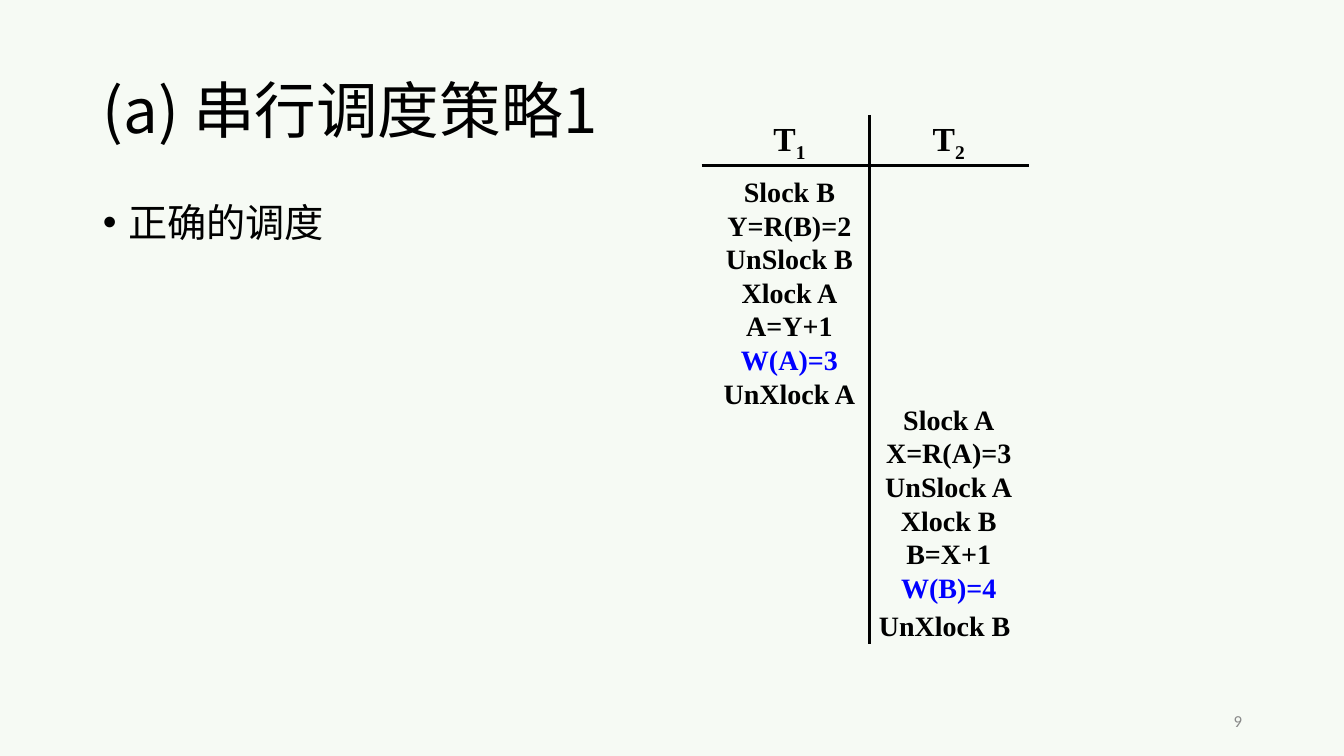
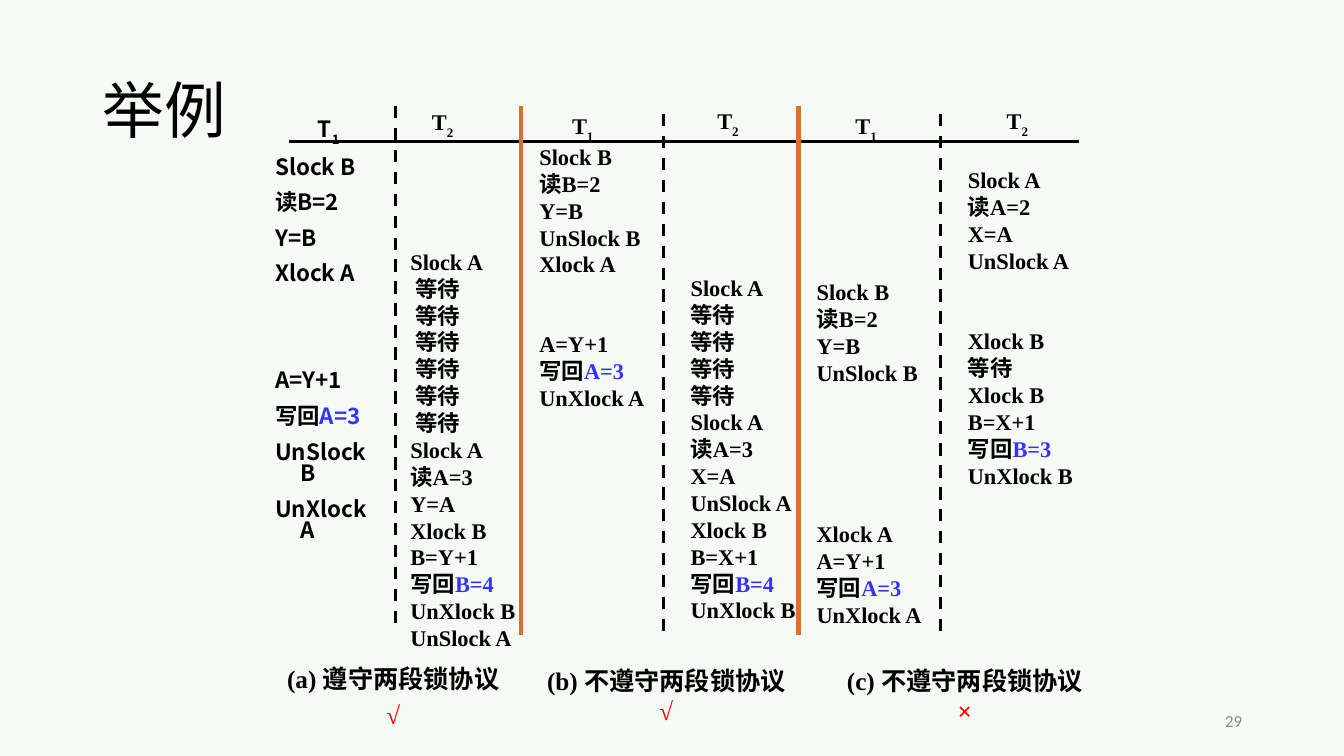
"""Two slides on transaction schedules: a serial schedule and two-phase locking examples."""
from lxml import etree
from pptx import Presentation, util as u
from pptx.dml.color import RGBColor
from pptx.enum import dml, shapes, text
from pptx.oxml.ns import qn

COLORS = {"ground": "F6FAF4", "ink": "000000", "blue": "0000FF", "violet": "3333FF",
          "red": "FF0000", "orange": "D7712B", "grey": "898989"}
SERIF, SANS = "Times New Roman", "Noto Sans CJK SC"
LEFT, CENTER, RIGHT = text.PP_ALIGN.LEFT, text.PP_ALIGN.CENTER, text.PP_ALIGN.RIGHT
TOP, MIDDLE = text.MSO_ANCHOR.TOP, text.MSO_ANCHOR.MIDDLE
WIDTH, HEIGHT = 13.33, 7.5
MARGIN = 1.02


def write(slide, box, lines, size, face=SERIF, bold=True, color="ink", accent="violet",
          align=LEFT, anchor=TOP, pitch=None, after=0, hang=0, wrap=False):
    """Write lines in a box; text after | takes the accent colour, text after _ is subscript."""
    frame = slide.shapes.add_textbox(*map(u.Inches, box)).text_frame
    frame.word_wrap, frame.vertical_anchor = wrap, anchor
    frame.margin_left = frame.margin_right = frame.margin_top = frame.margin_bottom = 0
    for index, line in enumerate(lines):
        paragraph = frame.add_paragraph() if index else frame.paragraphs[0]
        paragraph.alignment = align
        paragraph.line_spacing = pitch or u.Pt(size * 1.2)
        paragraph.space_before, paragraph.space_after = u.Pt(0), u.Pt(after)
        if hang:
            props = paragraph._p.get_or_add_pPr()
            props.set("marL", str(u.Inches(hang)))
            props.set("indent", str(-u.Inches(hang)))
        mark = "_" if "_" in line else "|"
        plain, _, marked = line.partition(mark)
        for part, special in ((plain, False), (marked, True)):
            if not part:
                continue
            run = paragraph.add_run()
            run.text = part
            font = run.font
            font.size, font.bold, font.name = u.Pt(size), bold, face
            shade = accent if special and mark == "|" else color
            font.color.rgb = RGBColor.from_string(COLORS[shade])
            run_props = run._r.get_or_add_rPr()
            etree.SubElement(run_props, qn("a:ea")).set("typeface", SANS)
            if special and mark == "_":
                run_props.set("baseline", "-30000" if size < 20 else "-25000")
    return frame


def rule(slide, start, end, color="ink", weight=2.25, dashed=False):
    """Draw a straight rule between two points."""
    line = slide.shapes.add_connector(shapes.MSO_CONNECTOR.STRAIGHT,
                                      *map(u.Inches, (*start, *end)))
    line.line.color.rgb = RGBColor.from_string(COLORS[color])
    line.line.width = u.Pt(weight)
    if dashed:
        line.line.dash_style = dml.MSO_LINE.DASH
    etree.SubElement(line._element.spPr, qn("a:effectLst"))


deck = Presentation()
deck.slide_width, deck.slide_height = u.Inches(WIDTH), u.Inches(HEIGHT)
pages = []
for heading, number in (("(a) 串行调度策略1", "9"), ("举例", "29")):
    page = deck.slides.add_slide(deck.slide_layouts[6])
    page.background.fill.solid()
    page.background.fill.fore_color.rgb = RGBColor.from_string(COLORS["ground"])
    write(page, (MARGIN, 0.4, WIDTH - 2 * MARGIN, 1.45), [heading], 44, SANS, False,
          anchor=MIDDLE, pitch=0.9, wrap=True)
    write(page, (9.32, 6.95, 3, 0.4), [number], 12, "Calibri", False, "grey",
          align=RIGHT, anchor=MIDDLE, wrap=True)
    pages.append(page)
serial, locking = pages

remark = write(serial, (MARGIN, 2.02, 5, 0.6), ["正确的调度"], 28, SANS, False,
               pitch=0.9, hang=0.25, wrap=True)
remark_props = remark.paragraphs[0]._p.get_or_add_pPr()
etree.SubElement(remark_props, qn("a:buFont")).set("typeface", "Arial")
etree.SubElement(remark_props, qn("a:buChar")).set("char", "•")

rule(serial, (6.96, 1.64), (10.21, 1.64))
rule(serial, (8.62, 1.14), (8.62, 6.39))
SERIAL_COLUMN = 1.58
serial_steps = [
    (7.04, 1.73, ["Slock B", "Y=R(B)=2", "UnSlock B", "Xlock A", "A=Y+1", "|W(A)=3", "UnXlock A"]),
    (8.62, 3.99, ["Slock A", "X=R(A)=3", "UnSlock A", "Xlock B", "B=X+1", "|W(B)=4"]),
    (8.58, 6.04, ["UnXlock B"]),
]
for left, top, steps in serial_steps:
    write(serial, (left, top, SERIAL_COLUMN, len(steps) / 3), steps, 20,
          accent="blue", align=CENTER, wrap=True)
for left, name in ((7.04, "T_1"), (8.62, "T_2")):
    write(serial, (left, 1.22, SERIAL_COLUMN, 0.4), [name], 24, align=CENTER, wrap=True)

rule(locking, (2.87, 1.4), (10.7, 1.4))
for x, top, bottom in ((3.92, 1.05, 6.21), (6.58, 1.13, 6.3), (9.33, 1.13, 6.3)):
    rule(locking, (x, top), (x, bottom), dashed=True)
for x in (5.17, 7.92):
    rule(locking, (x, 1.05), (x, 6.3), "orange", 3)

transactions = [(3.26, 1.19, "T_1", SANS), (4.39, 1.12, "T_2", SERIF), (5.78, 1.16, "T_1", SERIF),
                (7.22, 1.11, "T_2", SERIF), (8.59, 1.16, "T_1", SERIF), (10.09, 1.11, "T_2", SERIF)]
for center, top, name, face in transactions:
    write(locking, (center - 0.5, top, 1, 0.27), [name], 16, face, align=CENTER, wrap=True)

first_steps = [(1.57, ["Slock B", "读B=2", "Y=B", "Xlock A"]),
               (3.69, ["A=Y+1", "写回|A=3", "UnSlock B", "UnXlock A"])]
for top, steps in first_steps:
    write(locking, (2.73, top, 1.06, 1.5), steps, 16, SANS,
          pitch=u.Pt(15.4), after=10, hang=0.25, wrap=True)

locking_steps = [
    (4.07, 2.46, ["Slock A", *[" 等待"] * 6, "Slock A", "读A=3", "Y=A", "Xlock B", "B=Y+1",
                  "写回|B=4", "UnXlock B", "UnSlock A"]),
    (5.35, 1.42, ["Slock B", "读B=2", "Y=B", "UnSlock B", "Xlock A"]),
    (5.35, 3.28, ["A=Y+1", "写回|A=3", "UnXlock A"]),
    (6.85, 2.72, ["Slock A", *["等待"] * 4, "Slock A", "读A=3", "X=A", "UnSlock A", "Xlock B",
                  "B=X+1", "写回|B=4", "UnXlock B"]),
    (8.1, 2.76, ["Slock B", "读B=2", "Y=B", "UnSlock B"]),
    (8.1, 5.16, ["Xlock A", "A=Y+1", "写回|A=3", "UnXlock A"]),
    (9.6, 1.65, ["Slock A", "读A=2", "X=A", "UnSlock A"]),
    (9.6, 3.25, ["Xlock B", "等待", "Xlock B", "B=X+1", "写回|B=3", "UnXlock B"]),
]
for left, top, steps in locking_steps:
    write(locking, (left, top, 1.4, len(steps) * 0.27), steps, 16, wrap=True)

verdicts = [(3.9, 6.58, "(a) 遵守两段锁协议", "√", 4), (6.61, 6.6, "(b) 不遵守两段锁协议", "√", 0),
            (9.57, 6.6, "(c) 不遵守两段锁协议", "×", 0)]
for center, top, caption, sign, gap in verdicts:
    write(locking, (center - 1.35, top, 2.7, 0.6), [caption, "|" + sign], 18,
          accent="red", align=CENTER, after=gap, wrap=True)

deck.save("out.pptx")
